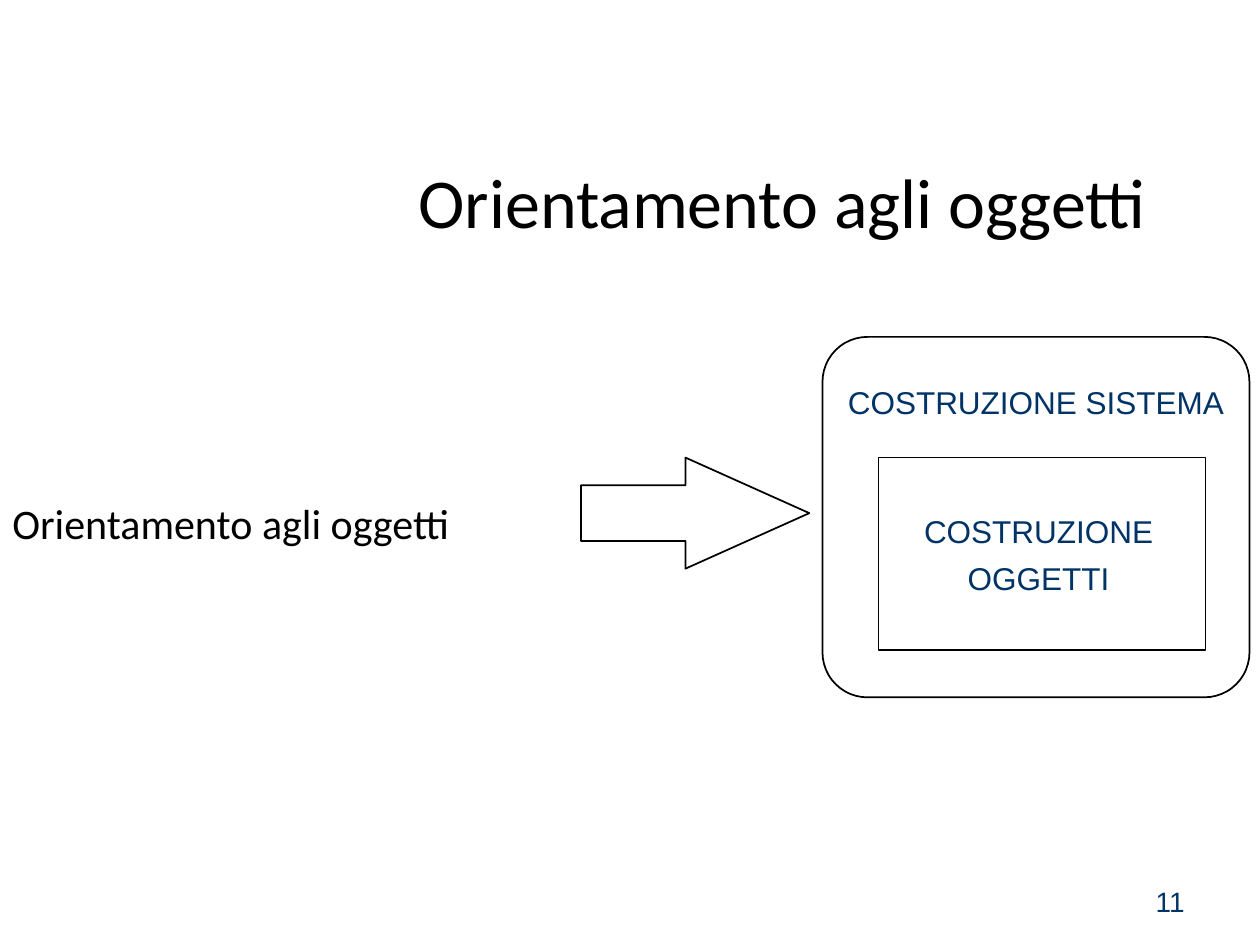
from dataclasses import dataclass

from pptx import Presentation
from pptx.dml.color import RGBColor
from pptx.enum.shapes import MSO_SHAPE
from pptx.enum.text import MSO_ANCHOR, PP_ALIGN
from pptx.util import Pt


@dataclass(frozen=True)
class Theme:
    ink: RGBColor = RGBColor(0x00, 0x00, 0x00)
    navy: RGBColor = RGBColor(0x00, 0x33, 0x66)
    heading_font: str = "Calibri"
    label_font: str = "Arial"
    title_size: int = 40
    body_size: int = 24
    label_size: int = 18
    number_size: int = 16


THEME = Theme()


def add_text(slide, box, text, size, font, color, align=PP_ALIGN.LEFT,
             anchor=MSO_ANCHOR.MIDDLE, spacing=None):
    tf = slide.shapes.add_textbox(*map(Pt, box)).text_frame
    tf.word_wrap = True
    tf.vertical_anchor = anchor
    p = tf.paragraphs[0]
    p.alignment = align
    p.line_spacing = spacing
    r = p.add_run()
    r.text = text
    r.font.size = Pt(size)
    r.font.name = font
    r.font.color.rgb = color


def add_outline(slide, kind, box, width=1, adjustments=()):
    sp = slide.shapes.add_shape(kind, *map(Pt, box))
    sp.shadow.inherit = False
    sp.fill.background()
    sp.line.color.rgb = THEME.ink
    sp.line.width = Pt(width)
    for i, value in enumerate(adjustments):
        sp.adjustments[i] = value


def add_label(slide, box, text):
    add_text(slide, box, text, THEME.label_size, THEME.label_font, THEME.navy,
             PP_ALIGN.CENTER, MSO_ANCHOR.TOP, 1.25)


def add_title(slide, box):
    add_text(slide, box, "Orientamento agli oggetti", THEME.title_size,
             THEME.heading_font, THEME.ink, PP_ALIGN.CENTER)


def add_body(slide, box):
    add_text(slide, box, "Orientamento agli oggetti", THEME.body_size,
             THEME.heading_font, THEME.ink)


def add_system(slide, box):
    """Rounded system frame with the objects box nested inside it."""
    x, y, w, h = box
    add_outline(slide, MSO_SHAPE.ROUNDED_RECTANGLE, box, adjustments=[0.125])
    add_label(slide, (x, y + 17.5, w, 34), "COSTRUZIONE SISTEMA")
    add_outline(slide, MSO_SHAPE.RECTANGLE, (x + 32, y + 69, 187, 110), 0.75)
    add_label(slide, (x + 48.5, y + 91, 150, 61), "COSTRUZIONE OGGETTI")


def add_page_number(slide, box):
    add_text(slide, box, "11", THEME.number_size, THEME.label_font, THEME.navy,
             PP_ALIGN.RIGHT)


def main():
    prs = Presentation()
    prs.slide_width, prs.slide_height = Pt(720), Pt(540)
    slide = prs.slides.add_slide(prs.slide_layouts[6])
    add_page_number(slide, (516, 500.5, 168, 29))
    add_body(slide, (0, 277, 338, 43))
    add_title(slide, (174, 88.5, 546, 52))
    add_outline(slide, MSO_SHAPE.RIGHT_ARROW, (332, 261.5, 130.5, 63.5),
                adjustments=[0.5, 1.115])
    add_system(slide, (470, 192.5, 244, 206))
    prs.save("out.pptx")


if __name__ == "__main__":
    main()
